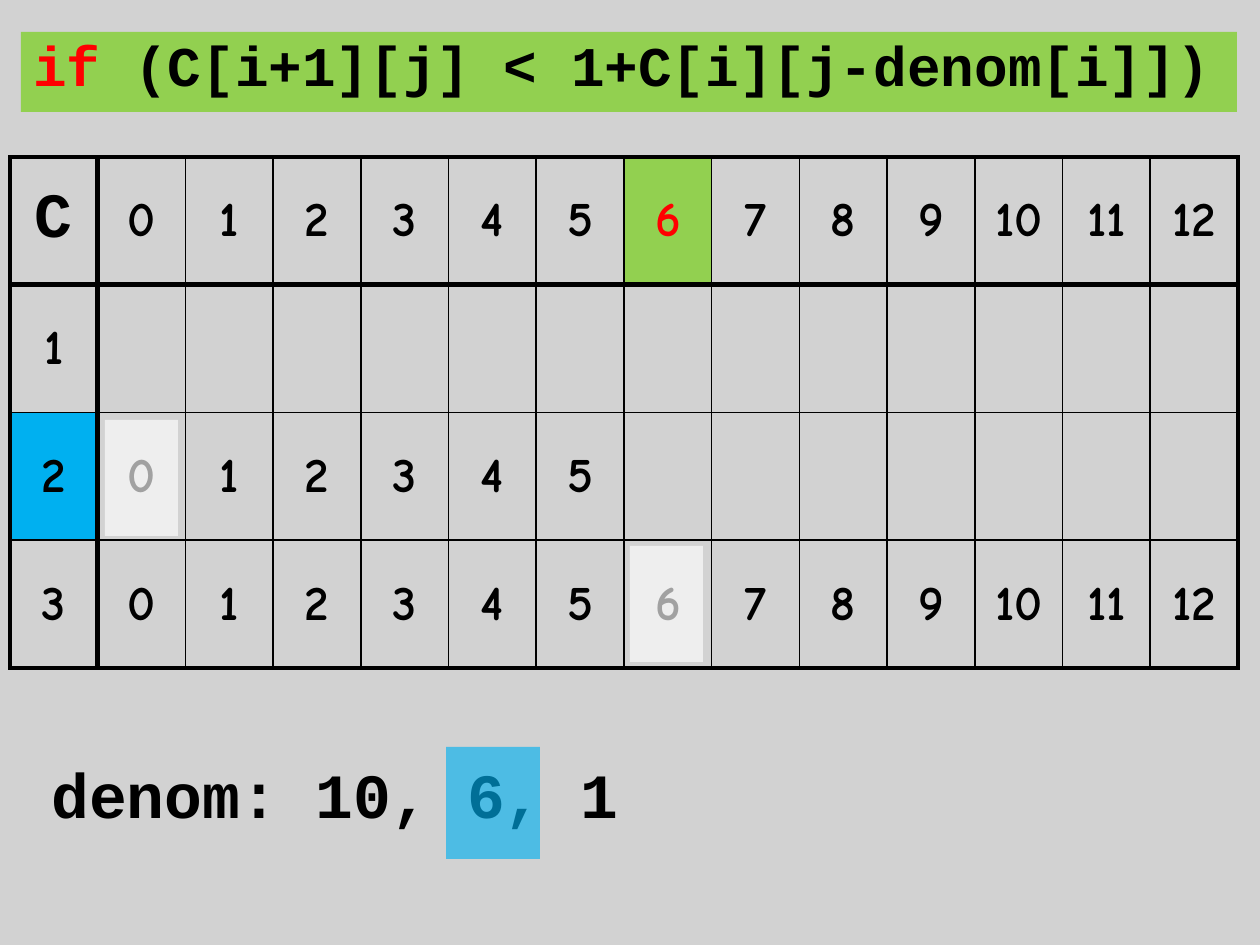
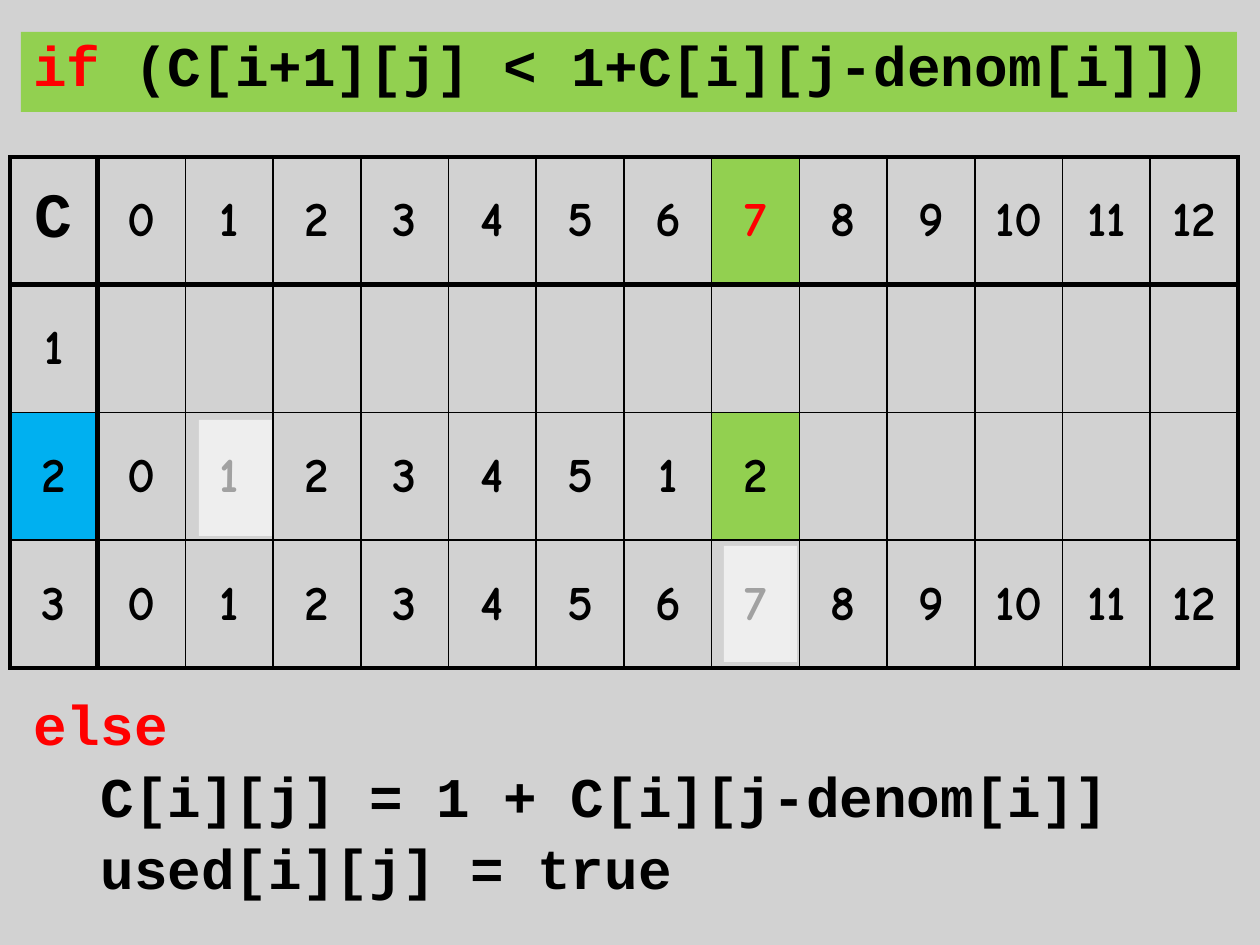
from lxml import etree
from pptx import Presentation
from pptx import util as u
from pptx.dml.color import RGBColor
from pptx.enum import shapes, text
from pptx.oxml.ns import qn

SCALE = 914400 / 126  # EMU in one px
COLORS = {"black": "000000", "white": "FFFFFF", "gray": "C0C0C0",
          "red": "FF0000", "green": "92D050", "blue": "00B0F0"}
CODE, HAND = "Courier New", "Comic Neue"
COINS = 13  # amounts 0 to 12
V_LINES = [2.25, 3] + [1] * (COINS - 1) + [2.25]
H_LINES = [2.25, 3, 1, 1, 2.25]


def px(n):
    return u.Emu(round(n * SCALE))


def rgb(name):
    return RGBColor.from_string(COLORS[name])


class Deck:
    def __init__(self):
        self.prs = Presentation()
        self.prs.slide_width, self.prs.slide_height = px(1260), px(945)
        self.s = None

    def slide(self):
        self.s = self.prs.slides.add_slide(self.prs.slide_layouts[6])
        self.rect(0, 0, 1260, 945, "gray", 70)

    def rect(self, x, y, w, h, color, alpha=100):
        sp = self.s.shapes.add_shape(shapes.MSO_SHAPE.RECTANGLE,
                                     px(x), px(y), px(w), px(h))
        sp.shadow.inherit = False
        sp.line.fill.background()
        sp.fill.solid()
        sp.fill.fore_color.rgb = rgb(color)
        if alpha < 100:
            clr = sp._element.spPr.find(".//" + qn("a:srgbClr"))
            etree.SubElement(clr, qn("a:alpha"), val=str(alpha * 1000))
        return sp

    def run(self, p, words, size, color="black", font=CODE):
        r = p.add_run()
        r.text = words
        r.font.size, r.font.name, r.font.bold = u.Pt(size), font, True
        r.font.color.rgb = rgb(color)

    def code(self, sp, size, lines):
        """Each line is (indent in px, [(words, color), ...])."""
        tf = sp.text_frame
        tf.word_wrap = True
        tf.auto_size = text.MSO_AUTO_SIZE.SHAPE_TO_FIT_TEXT
        tf.vertical_anchor = text.MSO_ANCHOR.TOP
        for i, (indent, runs) in enumerate(lines):
            p = tf.add_paragraph() if i else tf.paragraphs[0]
            p.alignment = text.PP_ALIGN.LEFT
            p.line_spacing = 0.9
            pPr = p._p.get_or_add_pPr()
            pPr.set("marL", str(px(indent)))
            before = pPr.get_or_add_spcBef()
            etree.SubElement(before, qn("a:spcPct"), val="20000")
            for words, color in runs:
                self.run(p, words, size, color)

    def text_box(self, x, y, w, h, size, lines):
        self.code(self.s.shapes.add_textbox(px(x), px(y), px(w), px(h)), size, lines)

    def borders(self, cell, row, col):
        tcPr = cell._tc.get_or_add_tcPr()
        widths = {"L": V_LINES[col], "R": V_LINES[col + 1],
                  "T": H_LINES[row], "B": H_LINES[row + 1]}
        for side, width in widths.items():
            ln = etree.SubElement(tcPr, qn("a:ln" + side), w=str(u.Pt(width)))
            fill = etree.SubElement(ln, qn("a:solidFill"))
            etree.SubElement(fill, qn("a:srgbClr"), val=COLORS["black"])

    def table(self, x, y, w, h, rows, fills, red_cell):
        n_rows, n_cols = len(rows), len(rows[0])
        tbl = self.s.shapes.add_table(n_rows, n_cols, px(x), px(y), px(w), px(h)).table
        tbl.first_row = tbl.horz_banding = False
        for column in tbl.columns:
            column.width = px(w / n_cols)
        for line in tbl.rows:
            line.height = px(h / n_rows)
        for row, values in enumerate(rows):
            for col, value in enumerate(values):
                cell = tbl.cell(row, col)
                cell.vertical_anchor = text.MSO_ANCHOR.MIDDLE
                self.borders(cell, row, col)
                if (row, col) in fills:
                    cell.fill.solid()
                    cell.fill.fore_color.rgb = rgb(fills[row, col])
                else:
                    cell.fill.background()
                if value == "":
                    continue
                p = cell.text_frame.paragraphs[0]
                p.alignment = text.PP_ALIGN.CENTER
                size, font = (36, CODE) if value == "C" else (28, HAND)
                color = "red" if (row, col) == red_cell else "black"
                self.run(p, str(value), size, color, font)


def coin_step(d, amount, second_row, compared_x, fills):
    """The condition, the table and the two compared cells for one amount."""
    d.slide()
    amounts = list(range(COINS))
    rows = [["C"] + amounts,
            [1] + [""] * COINS,
            [2] + second_row + [""] * (COINS - len(second_row)),
            [3] + amounts]
    header = (0, amount + 1)
    d.table(10, 157, 1228, 511, rows,
            {header: "green", (2, 0): "blue", **fills}, header)
    # Cells compared by the condition
    d.rect(compared_x + 525, 546, 73, 116, "white", 63)
    d.rect(compared_x, 420, 73, 116, "white", 63)
    # Condition band
    d.code(d.rect(21, 32, 1216, 80, "green"), 32,
           [(0, [("if ", "red"), ("(C[i+1][j] < 1+C[i][j-denom[i]])", "black")])])


def main():
    d = Deck()

    # Slide 1: amount 6, with the list of coins
    coin_step(d, 6, [0, 1, 2, 3, 4, 5], 105, {})
    d.text_box(39, 758, 594, 88, 36, [(0, [("denom: 10, 6, 1", "black")])])
    d.rect(446, 747, 94, 112, "blue", 63)

    # Slide 2: amount 7, with the else branch
    coin_step(d, 7, [0, 1, 2, 3, 4, 5, 1, 2], 199, {(2, 8): "green"})
    d.text_box(21, 691, 1114, 217, 32, [
        (0, [("else", "red")]),
        (67, [("C[i][j] = 1 + C[i][j-denom[i]]", "black")]),
        (67, [("used[i][j] = true", "black")])])

    d.prs.save("out.pptx")


if __name__ == "__main__":
    main()
